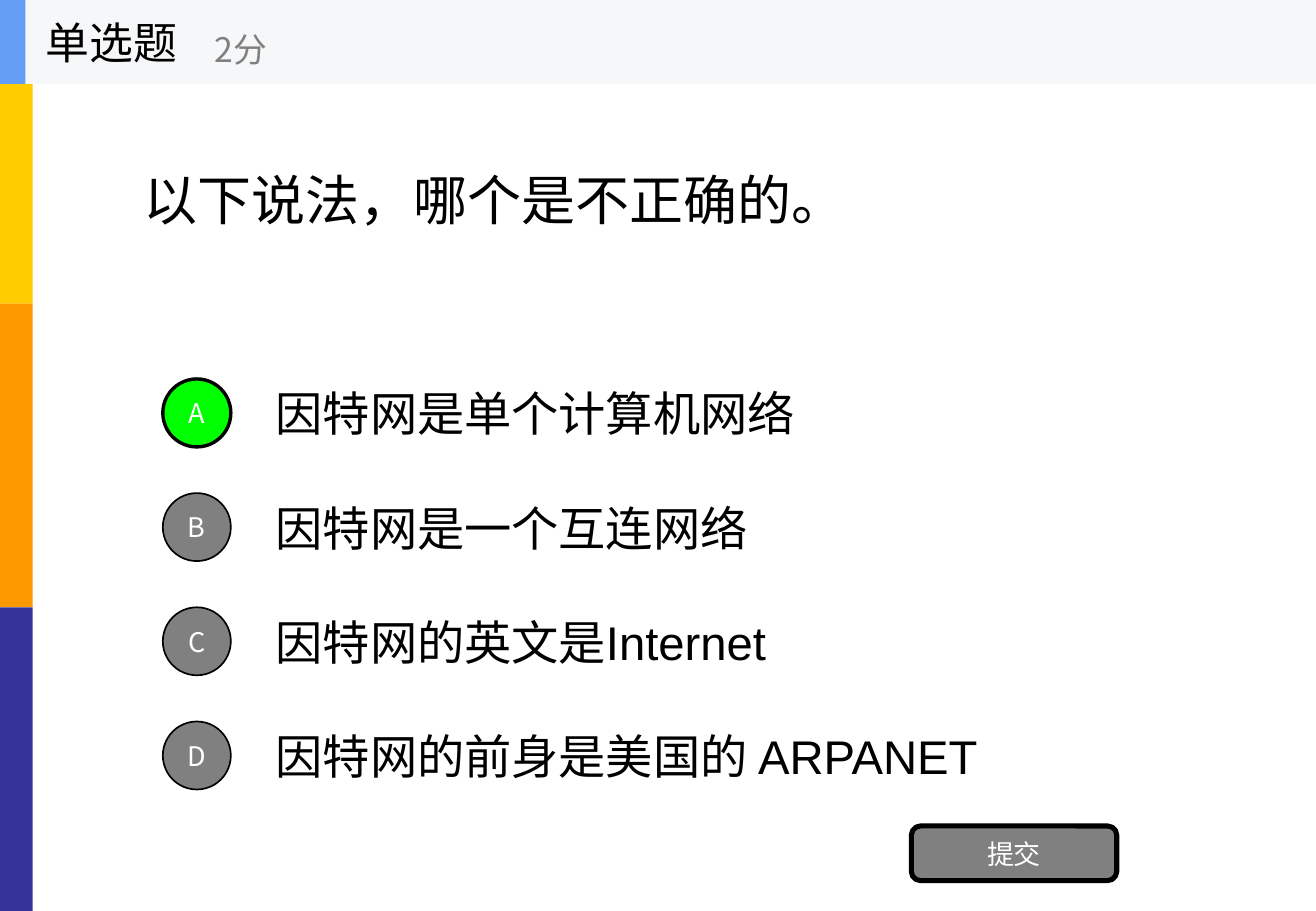
from lxml.etree import SubElement
from pptx import Presentation
from pptx.dml.color import RGBColor
from pptx.enum.shapes import MSO_SHAPE
from pptx.enum.text import MSO_ANCHOR, PP_ALIGN
from pptx.oxml.ns import qn
from pptx.util import Inches, Pt

BLACK = RGBColor(0x00, 0x00, 0x00)
WHITE = RGBColor(0xFF, 0xFF, 0xFF)
GRAY = RGBColor(0x80, 0x80, 0x80)
GREEN = RGBColor(0x00, 0xFF, 0x00)
YELLOW = RGBColor(0xFF, 0xCC, 0x00)
ORANGE = RGBColor(0xFF, 0x99, 0x00)
NAVY = RGBColor(0x33, 0x33, 0x99)
PALE = RGBColor(0xF6, 0xF7, 0xF8)
BLUE = RGBColor(0x63, 0x9E, 0xF4)


class Quiz:
    latin = "Arial"
    hans = "Noto Sans CJK SC"

    def __init__(self, slide):
        self.slide = slide

    def letter(self, shape, text, size, color, font, align):
        frame = shape.text_frame
        frame.text = text
        frame.word_wrap = True
        frame.vertical_anchor = MSO_ANCHOR.MIDDLE
        para = frame.paragraphs[0]
        para.alignment = align
        for run in para.runs:
            run.font.size = Pt(size)
            run.font.color.rgb = color
            run.font.name = font
            east = SubElement(run.font._element, qn("a:ea"))
            east.set("typeface", self.hans)

    def label(self, box, text, size, color=BLACK, font=latin):
        shape = self.slide.shapes.add_textbox(*map(Inches, box))
        self.letter(shape, text, size, color, font, PP_ALIGN.LEFT)

    def block(self, box, fill, kind=MSO_SHAPE.RECTANGLE, line=0):
        shape = self.slide.shapes.add_shape(kind, *map(Inches, box))
        shape.shadow.inherit = False
        shape.fill.solid()
        shape.fill.fore_color.rgb = fill
        if line:
            shape.line.color.rgb = BLACK
            shape.line.width = Pt(line)
        else:
            shape.line.fill.background()
        return shape

    def button(self, box, text, fill, kind, line):
        shape = self.block(box, fill, kind, line)
        frame = shape.text_frame
        frame.margin_left = frame.margin_right = 0
        frame.margin_top = frame.margin_bottom = 0
        self.letter(shape, text, 16, WHITE, self.hans, PP_ALIGN.CENTER)


def main():
    deck = Presentation()
    deck.slide_width = Inches(10.83)
    deck.slide_height = Inches(7.5)
    quiz = Quiz(deck.slides.add_slide(deck.slide_layouts[6]))

    for row, color in enumerate((YELLOW, ORANGE, NAVY)):
        quiz.block((0, 2.5 * row, 0.27, 2.5), color)

    quiz.label((1.08, 0.69, 8.67, 1.9), "以下说法，哪个是不正确的。", 32)

    choices = (
        ("A", "因特网是单个计算机网络"),
        ("B", "因特网是一个互连网络"),
        ("C", "因特网的英文是Internet"),
        ("D", "因特网的前身是美国的 ARPANET"),
    )
    for row, (key, text) in enumerate(choices):
        top = 3.05 + 0.94 * row
        right = key == "A"
        quiz.label((2.17, top, 7.58, 0.7), text, 28)
        quiz.button((1.34, top + 0.07, 0.56, 0.56), key,
                    GREEN if right else GRAY, MSO_SHAPE.OVAL, 2 if right else 1)

    quiz.button((7.5, 6.8, 1.69, 0.45), "提交", GRAY,
                MSO_SHAPE.ROUNDED_RECTANGLE, 3)

    quiz.block((0, 0, 10.83, 0.69), PALE)
    quiz.block((0, 0, 0.21, 0.69), BLUE)
    quiz.label((0.28, 0, 2.08, 0.69), "单选题", 26, BLACK, quiz.hans)
    quiz.label((1.67, 0.12, 2.5, 0.56), "2分", 20, GRAY, quiz.hans)

    deck.save("out.pptx")


if __name__ == "__main__":
    main()
